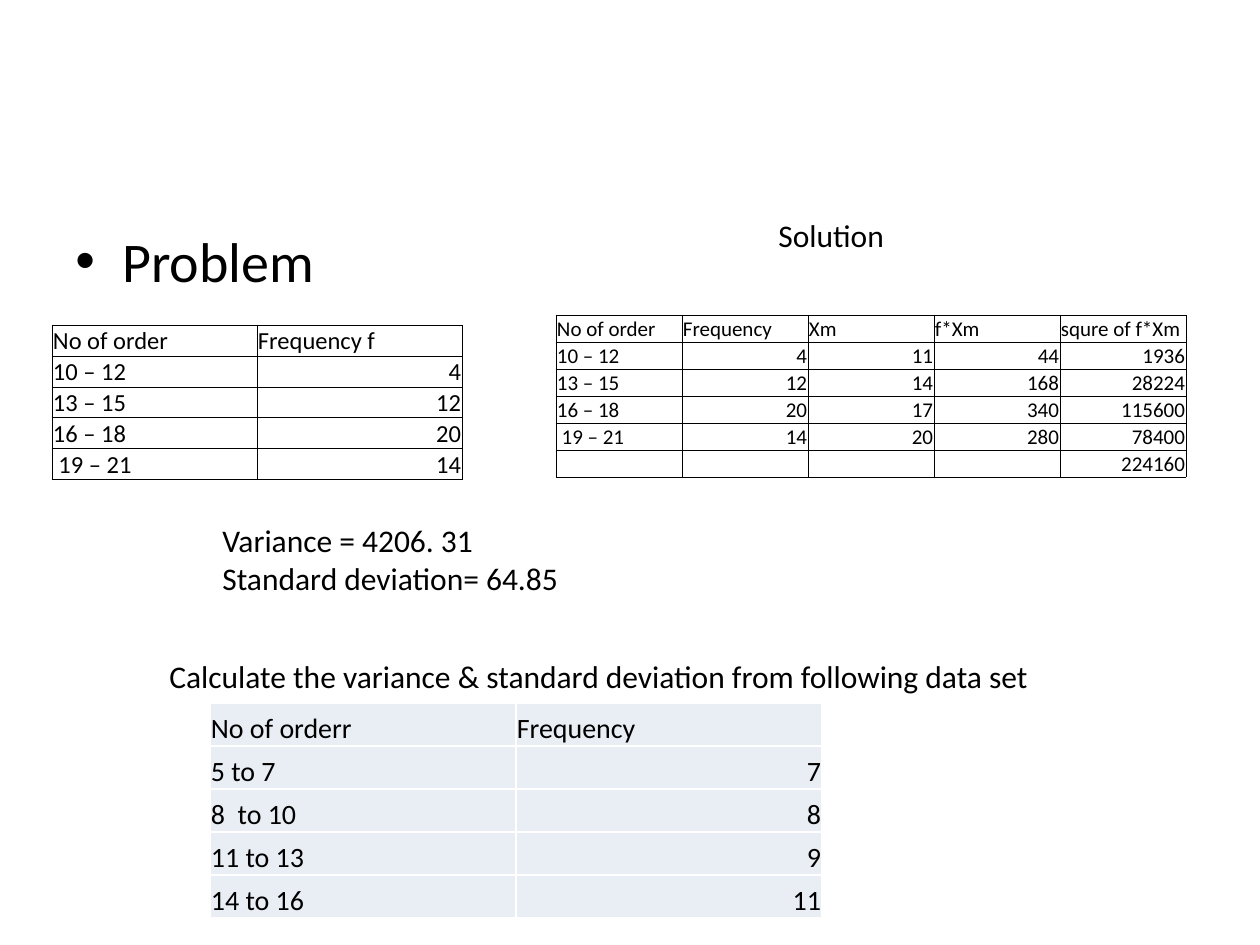
from lxml import etree
from pptx import Presentation
from pptx.dml.color import RGBColor
from pptx.enum.text import MSO_ANCHOR, PP_ALIGN
from pptx.oxml.ns import qn
from pptx.util import Pt

BOTTOM = MSO_ANCHOR.BOTTOM
LEFT, RIGHT = PP_ALIGN.LEFT, PP_ALIGN.RIGHT
BLACK = RGBColor(0, 0, 0)
WHITE = RGBColor(255, 255, 255)
PALE_BLUE = RGBColor(0xE9, 0xED, 0xF4)
FONT = "Calibri"
PX = 914400 / 126


def add_text(left, top, width, height, text, size, wrap=True):
    box = page.shapes.add_textbox(*(round(n * PX) for n in (left, top, width, height)))
    box.text_frame.text = text
    box.text_frame.word_wrap = wrap
    for para in box.text_frame.paragraphs:
        for span in para.runs:
            span.font.name, span.font.size = FONT, Pt(size)
            span.font.color.rgb = BLACK
    return box


def add_grid(left, top, column_width, row_height, rows, size, fill, border, border_width):
    columns = len(rows[0])
    table = page.shapes.add_table(
        len(rows), columns, round(left * PX), round(top * PX),
        round(column_width * columns * PX), round(row_height * len(rows) * PX)).table
    table.first_row = table.horz_banding = False
    for column in table.columns:
        column.width = round(column_width * PX)
    for r, values in enumerate(rows):
        table.rows[r].height = round(row_height * PX)
        for c, value in enumerate(values):
            cell = table.cell(r, c)
            cell.vertical_anchor = BOTTOM
            cell.margin_left = cell.margin_right = cell.margin_top = round(PX)
            cell.margin_bottom = 0
            cell.text_frame.text = value
            para = cell.text_frame.paragraphs[0]
            para.alignment = RIGHT if r and c else LEFT
            for span in para.runs:
                span.font.name, span.font.size = FONT, Pt(size)
                span.font.color.rgb = BLACK
            if not value:
                # Keeps an empty cell as low as its neighbours
                etree.SubElement(para._p, qn("a:endParaRPr"), sz=str(size * 100))
            # Borders come before the fill in the cell properties
            properties = cell._tc.get_or_add_tcPr()
            for side in ("lnL", "lnR", "lnT", "lnB"):
                line = etree.SubElement(properties, qn("a:" + side), w=str(Pt(border_width)))
                solid = etree.SubElement(line, qn("a:solidFill"))
                etree.SubElement(solid, qn("a:srgbClr"), val=str(border))
            if fill is None:
                cell.fill.background()
            else:
                cell.fill.solid()
                cell.fill.fore_color.rgb = fill


deck = Presentation()
deck.slide_width, deck.slide_height = round(1260 * PX), round(945 * PX)
page = deck.slides.add_slide(deck.slide_layouts[6])

# Bulleted heading
heading = add_text(63, 220, 1134, 105, "Problem", 32)
indent = round(47 * PX)
bullet = heading.text_frame.paragraphs[0]._p.get_or_add_pPr()
bullet.set("marL", str(indent))
bullet.set("indent", str(-indent))
etree.SubElement(bullet, qn("a:buFont"), typeface="Arial")
etree.SubElement(bullet, qn("a:buChar"), char="•")

# Problem data
orders = ["10 – 12", "13 – 15", "16 – 18", " 19 – 21"]
frequencies = ["4", "12", "20", "14"]
problem_rows = [("No of order", "Frequency f"), *zip(orders, frequencies)]
add_grid(52, 325, 205, 31, problem_rows, 14, None, BLACK, 0.5)

# Worked solution
solution_rows = [
    ("No of order", "Frequency", "Xm", "f*Xm", "squre of f*Xm"),
    *zip(orders, frequencies, ["11", "14", "17", "20"], ["44", "168", "340", "280"],
         ["1936", "28224", "115600", "78400"]),
    ("", "", "", "", "224160"),
]
add_grid(556, 315, 126, 27, solution_rows, 12, None, BLACK, 0.5)
add_text(766, 210, 158, 50, "Solution", 18)
add_text(210, 515, 420, 89, "Variance = 4206. 31\nStandard deviation= 64.85", 18)

# Exercise
exercise_rows = [
    ("No of orderr", "Frequency"),
    ("5 to 7", "7"),
    ("8  to 10", "8"),
    ("11 to 13", "9"),
    ("14 to 16", "11"),
]
add_grid(210, 703, 306, 43, exercise_rows, 16, PALE_BLUE, WHITE, 1)
add_text(157, 651, 895, 50,
         "Calculate the variance & standard deviation from following data set", 18, wrap=False)

deck.save("out.pptx")
